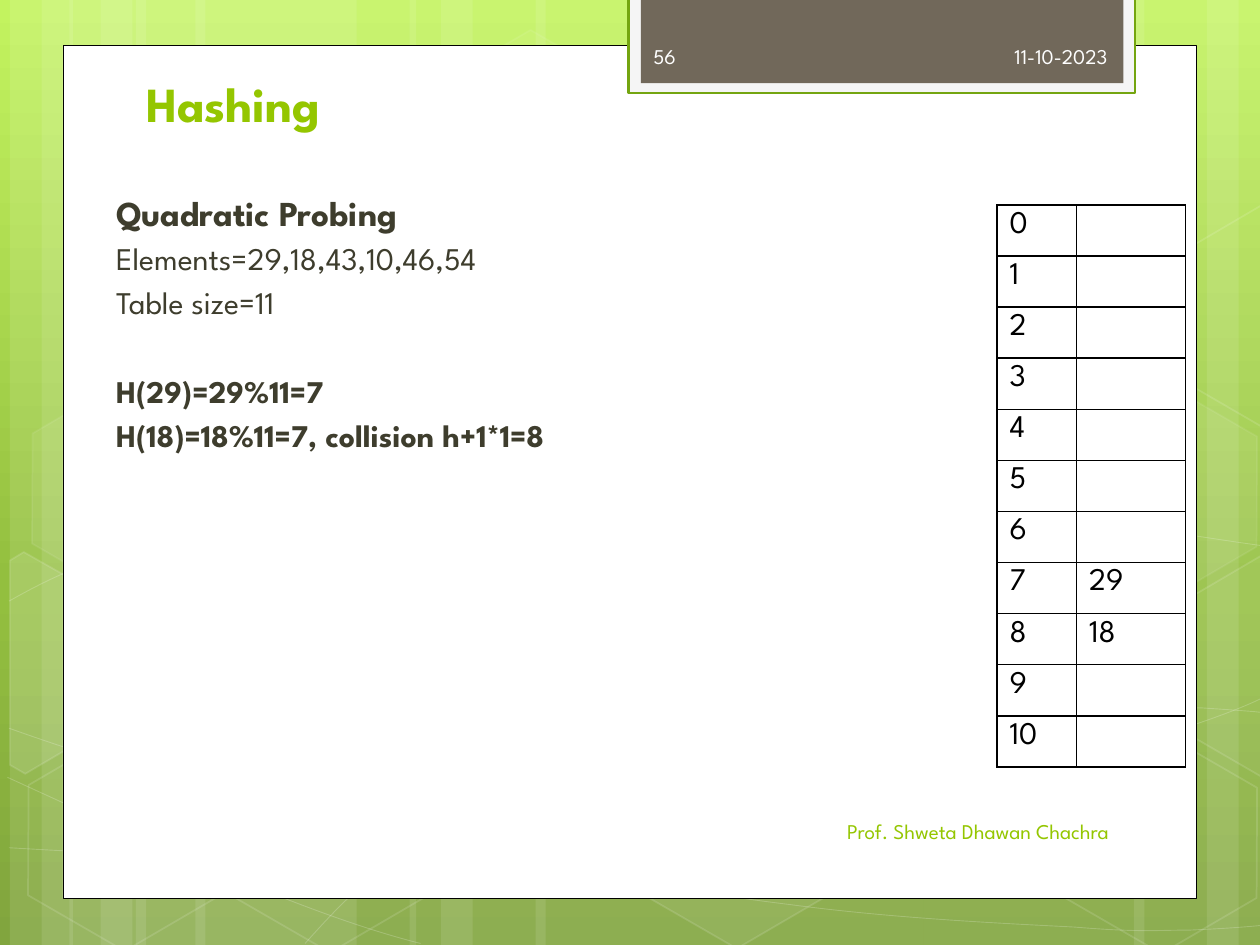
from copy import deepcopy
from lxml.etree import SubElement
from pptx import Presentation
from pptx.dml.color import RGBColor
from pptx.enum.shapes import MSO_SHAPE as Preset
from pptx.enum.text import MSO_ANCHOR as Anchor, MSO_AUTO_SIZE as AutoSize, PP_ALIGN as Align
from pptx.oxml import parse_xml
from pptx.oxml.ns import nsdecls, qn
from pptx.util import Cm, Pt

FONT = "League Spartan"
GREEN = "94C600"
DARK = "3E3D2D"
PALE = "FEFEFE"
WHITE = "FFFFFF"
BLACK = "000000"


def colour(value):
    return RGBColor.from_string(value)


def paint(shape, fill=None, fill_alpha=100, line=None, width=1, line_alpha=100):
    shape.shadow.inherit = False
    if line:
        shape.line.width = Pt(width)
    for target, value, alpha, route in (
        (shape.fill, fill, fill_alpha, "./a:solidFill/a:srgbClr"),
        (shape.line.fill, line, line_alpha, "./a:ln/a:solidFill/a:srgbClr"),
    ):
        if not value:
            target.background()
            continue
        target.solid()
        target.fore_color.rgb = colour(value)
        if alpha < 100:
            tint = shape._element.spPr.xpath(route)[0]
            SubElement(tint, qn("a:alpha"), val=str(alpha * 1000))


deck = Presentation()
deck.slide_width, deck.slide_height = Cm(25.4), Cm(19.05)
page = deck.slides.add_slide(deck.slide_layouts[5])
shapes = page.shapes

backdrop = page.background.fill
backdrop.gradient()
backdrop.gradient_angle = 270
stop_list = page.element.xpath(".//a:gsLst")[0]
stop_list.insert(1, deepcopy(stop_list[0]))
for stop, (position, value) in zip(backdrop.gradient_stops, ((0, "C3F35F"), (0.62, "93BF3F"), (1, "81A53E"))):
    stop.position = position
    stop.color.rgb = colour(value)

stripes = [
    (2.74, 4.45), (0.2, 1.27), (0.84, 2.11), (3.94, 4.45), (1.4, 1.27), (2.03, 2.11),
    (18.62, 4.45), (24.33, 1.27), (22.86, 2.11), (10.8, 7.82), (8.26, 1.27), (8.89, 2.11),
]
for left, width in stripes:
    stripe = shapes.add_shape(Preset.RECTANGLE, Cm(left), 0, Cm(width), deck.slide_height)
    paint(stripe, WHITE, 10)

curves = [
    [(0.18, 17.09), (1.55, 17.17), (2.92, 17.25), (4.83, 17.22), (6.73, 17.2), (9.09, 17.15), (11.63, 16.89),
     (14.17, 16.64), (17.78, 16.15), (20.12, 15.67), (22.43, 15.19), (24.82, 14.43), (25.58, 14)],
    [(0.18, 12.12), (0.91, 11.71), (1.65, 11.33), (3.07, 10.95), (4.52, 10.57), (6.58, 10.06), (8.81, 9.83),
     (11.07, 9.65), (13.82, 9.63), (16.61, 9.83), (19.41, 10.03), (24.05, 10.82), (25.58, 11.02)],
    [(0.15, 15.67), (3.2, 17.07), (6.27, 18.47), (8.48, 19.02)],
    [(0.18, 14.68), (0.97, 14.96), (1.78, 15.24), (3.25, 15.65), (4.72, 16.03), (6.93, 16.66), (9.07, 17.09),
     (11.18, 17.53), (13.84, 17.98), (15.95, 18.24), (18.06, 18.52), (20.32, 18.62), (21.67, 18.69),
     (22.99, 18.8), (23.34, 18.75), (24, 18.75), (24.66, 18.72), (25.12, 18.69), (25.58, 18.64)],
    [(6.15, 19.02), (6.6, 18.52), (7.06, 18.01), (7.67, 17.55), (8.28, 17.09), (9.14, 16.59), (9.86, 16.23),
     (10.57, 15.88), (11, 15.72), (11.94, 15.47), (12.85, 15.21), (14.55, 14.86), (15.44, 14.68),
     (16.36, 14.5), (16.48, 14.5), (17.27, 14.45), (18.06, 14.38), (19.3, 14.3), (20.17, 14.27),
     (21.06, 14.25), (22.5, 14.27), (22.5, 14.27), (23.07, 14.27), (23.64, 14.27), (24.21, 14.27),
     (24.66, 14.3), (25.1, 14.33), (25.32, 14.35), (25.55, 14.38), (25.48, 14.35), (25.55, 14.38)],
]
for knots in curves:
    start, *rest = [(Cm(x), Cm(y)) for x, y in knots]
    builder = shapes.build_freeform(*start)
    builder.add_line_segments(rest, close=False)
    curve = builder.convert_to_shape()
    outline = curve._element.xpath(".//a:path")[0]
    segments = outline.findall(qn("a:lnTo"))
    for first in range(0, len(segments), 3):
        bend = SubElement(outline, qn("a:cubicBezTo"))
        for segment in segments[first:first + 3]:
            bend.append(segment[0])
            outline.remove(segment)
    paint(curve, line=WHITE, width=0.5, line_alpha=20)

hexagons = [
    (8.48, 0.91, 4, 8), (12.62, 14.96, 6, 12), (0.28, 15.01, 0, 12), (0.36, 7.92, 7, 8), (4.42, 15.04, 0, 12),
    (19.13, 11.51, 10, 12), (21.18, 15.06, 0, 12), (21.18, 7.98, 7, 8),
]
for left, top, fill_alpha, line_alpha in hexagons:
    hexagon = shapes.add_shape(Preset.HEXAGON, Cm(left), Cm(top), Cm(4.45), Cm(3.86))
    hexagon.rotation = 30
    hexagon.adjustments[0] = 0.285
    paint(hexagon, WHITE if fill_alpha else None, fill_alpha, WHITE, 1, line_alpha)

cut_hexagons = [
    (10, [(0.2, 11.3), (0.48, 11.13), (2.44, 12.24), (2.41, 14.48), (0.51, 15.6), (0.2, 15.42)]),
    (4, [(23.52, 12.32), (25.43, 11.2), (25.63, 11.33), (25.63, 15.57), (25.45, 15.67), (23.52, 14.55)]),
    (0, [(23.52, 5.26), (25.43, 4.14), (25.65, 4.27), (25.63, 8.51), (25.45, 8.61), (23.52, 7.49)]),
]
for fill_alpha, corners in cut_hexagons:
    start, *rest = [(Cm(x), Cm(y)) for x, y in corners]
    builder = shapes.build_freeform(*start)
    builder.add_line_segments(rest)
    paint(builder.convert_to_shape(), WHITE if fill_alpha else None, fill_alpha, WHITE, 1, 12)

panels = [
    ((1.27, 0.91, 22.86, 17.2), WHITE, BLACK, 0.5),
    ((12.67, -0.05, 10.21, 1.93), "F5F5F5", "74A510", 1.25),
    ((12.92, -0.05, 9.73, 1.73), "71685A", None, 0),
]
for place, fill, line, width in panels:
    panel = shapes.add_shape(Preset.RECTANGLE, *[Cm(value) for value in place])
    paint(panel, fill, line=line, width=width)

title = shapes.title
shapes._spTree.append(title._element)
texts = [
    (title, (2.69, 1.32, 19.51, 1.47), Anchor.BOTTOM, Align.LEFT, [("Hashing", 28, True, GREEN, 0)]),
    (None, (1.91, 3.73, 17.4, 12.07), Anchor.TOP, Align.LEFT, [
        ("Quadratic Probing", 20, True, DARK, 4),
        ("Elements=29,18,43,10,46,54", 18, False, DARK, 3.6),
        ("Table size=11", 18, False, DARK, 3.5),
        ("H(29)=29%11=7", 18, True, DARK, 28.9),
        ("H(18)=18%11=7, collision h+1*1=8", 18, True, DARK, 3.6),
    ]),
    (None, (16.66, 0.62, 5.92, 1.02), Anchor.MIDDLE, Align.RIGHT, [("11-10-2023", 12, False, PALE, 0)]),
    (None, (12.88, 16.24, 9.73, 1.02), Anchor.MIDDLE, Align.RIGHT,
     [("Prof. Shweta Dhawan Chachra", 12, False, GREEN, 0)]),
    (None, (12.92, 0.62, 3.71, 1.02), Anchor.MIDDLE, Align.LEFT, [("56", 12, False, PALE, 0)]),
]
for box, place, anchor, align, lines in texts:
    left, top, width, height = [Cm(value) for value in place]
    box = box or shapes.add_textbox(left, top, width, height)
    for name, value in {"left": left, "top": top, "width": width, "height": height}.items():
        setattr(box, name, value)
    frame = box.text_frame
    for name, value in {"word_wrap": True, "auto_size": AutoSize.NONE, "vertical_anchor": anchor}.items():
        setattr(frame, name, value)
    for index, (text, size, bold, value, before) in enumerate(lines):
        para = frame.add_paragraph() if index else frame.paragraphs[0]
        para.alignment = align
        para.space_before = Pt(before)
        if len(lines) > 1:
            para._p.get_or_add_pPr().set("marL", str(Cm(0.18)))
        span = para.add_run()
        span.text = text
        span.font.color.rgb = colour(value)
        for name, setting in {"name": FONT, "size": Pt(size), "bold": bold}.items():
            setattr(span.font, name, setting)

slots = {7: "29", 8: "18"}
row_count = 11
table = shapes.add_table(row_count, 2, Cm(20.1), Cm(4.13), Cm(3.8), Cm(11.33)).table
table.first_row = table.horz_banding = False
for column, width in zip(table.columns, (1.6, 2.2)):
    column.width = Cm(width)
for number, row in enumerate(table.rows):
    row.height = Cm(1.03)
    for cell, text in zip(row.cells, (str(number), slots.get(number))):
        para = cell.text_frame.paragraphs[0]
        para.font.size = Pt(18)
        if text:
            span = para.add_run()
            span.text = text
            span.font.color.rgb = colour(BLACK)
            span.font.name = FONT
            span.font.size = Pt(18)
        cell.fill.background()
        for index, side in enumerate(("lnL", "lnR", "lnT", "lnB")):
            border = parse_xml(f'<a:{side} {nsdecls("a")} w="12700"><a:solidFill>'
                               f'<a:srgbClr val="{BLACK}"/></a:solidFill></a:{side}>')
            cell._tc.get_or_add_tcPr().insert(index, border)

deck.save("out.pptx")
